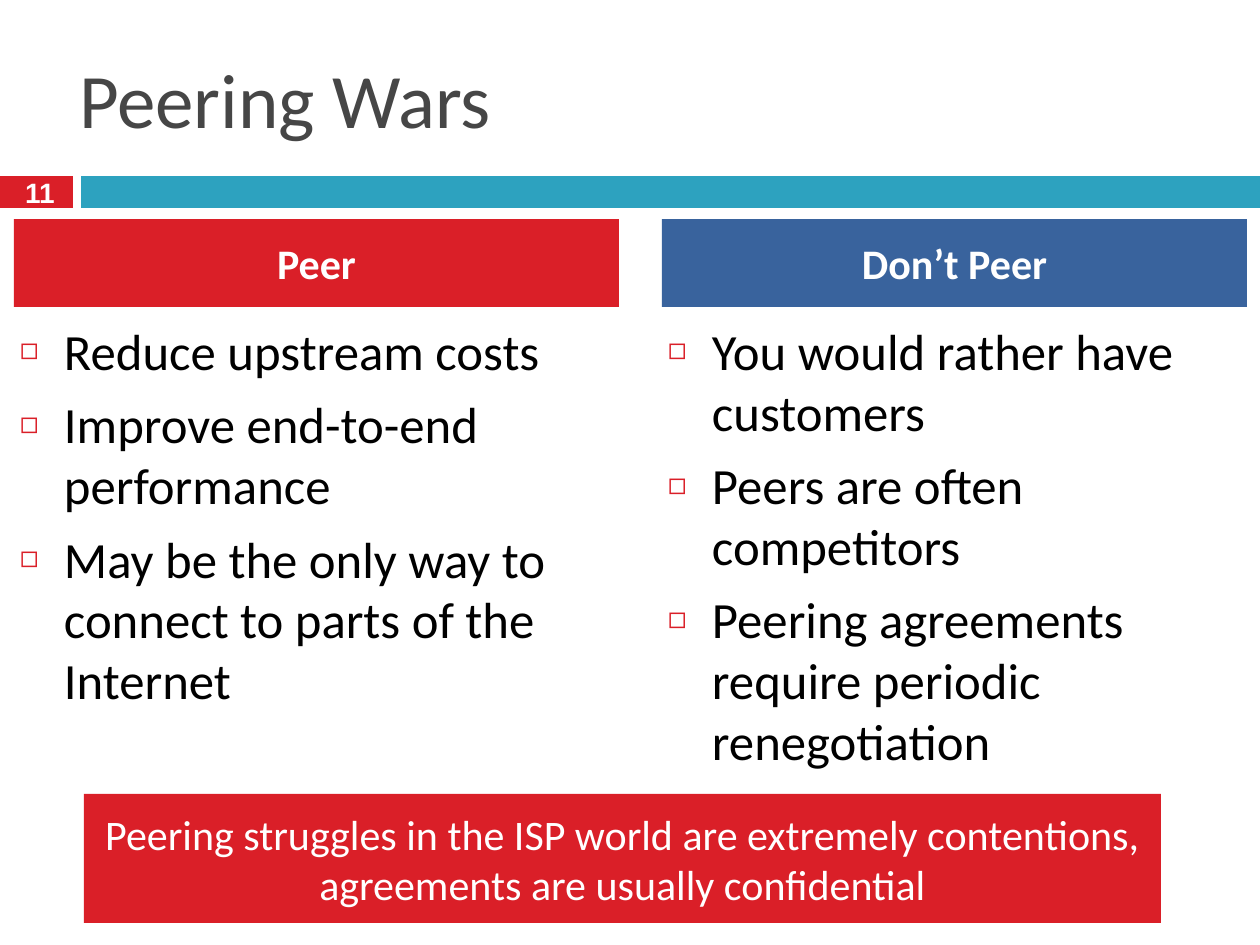
"""Build the Peering Wars slide comparing reasons to peer and not to peer."""
from lxml.etree import SubElement
from pptx import Presentation
from pptx.dml.color import RGBColor
from pptx.enum.shapes import MSO_SHAPE
from pptx.enum.text import MSO_ANCHOR, MSO_AUTO_SIZE, PP_ALIGN
from pptx.oxml.ns import qn
from pptx.util import Pt

SCALE = 914400 / 126
COLORS = {"red": "DA1F28", "teal": "2DA2BF", "blue": "39639D",
          "gray": "464646", "black": "000000", "white": "FFFFFF"}

TITLE = "Peering Wars"
PAGE_NUMBER = "11"
COLUMNS = [
    {"left": 14, "width": 605, "fill": "red", "heading": "Peer", "list_height": 494,
     "points": ["Reduce upstream costs",
                "Improve end-to-end performance",
                "May be the only way to connect to parts of the Internet"]},
    {"left": 662, "width": 585, "fill": "blue", "heading": "Don’t Peer", "list_height": 549,
     "points": ["You would rather have customers",
                "Peers are often competitors",
                "Peering agreements require periodic renegotiation"]},
]
SUMMARY = ("Peering struggles in the ISP world are extremely contentions, "
           "agreements are usually confidential")
BARS = [((0, 176, 73, 32), "red"), ((81, 176, 1179, 32), "teal")]
HEADING_TOP, HEADING_HEIGHT = 219, 88
LIST_TOP = 314
MARGIN, INDENT = 6, 44

TITLE_STYLE = {"size": Pt(44), "name": "Calibri", "bold": False}
LIST_STYLE = {"size": Pt(29), "name": "Calibri", "bold": False}
HEADING_STYLE = {"size": Pt(24), "name": "Calibri", "bold": True}
SUMMARY_STYLE = {"size": Pt(24), "name": "Calibri", "bold": False}
NUMBER_STYLE = {"size": Pt(16), "name": "Arial", "bold": True}


def px(length):
    return round(length * SCALE)


def color(name):
    return RGBColor.from_string(COLORS[name])


def place(shape, area):
    for name, length in zip(("left", "top", "width", "height"), area):
        setattr(shape, name, px(length))


def paint(shape, fill):
    shape.fill.solid()
    shape.fill.fore_color.rgb = color(fill)
    shape.line.fill.background()


def add_bar(page, area, fill):
    bar = page.shapes.add_shape(MSO_SHAPE.RECTANGLE, *map(px, area))
    bar.shadow.inherit = False
    paint(bar, fill)
    return bar


def add_bullet(para):
    properties = para._p.get_or_add_pPr()
    properties.set("marL", str(px(INDENT)))
    properties.set("indent", str(-px(INDENT)))
    tint = SubElement(properties, qn("a:buClr"))
    SubElement(tint, qn("a:srgbClr"), val=COLORS["red"])
    SubElement(properties, qn("a:buSzPct"), val="60000")
    SubElement(properties, qn("a:buChar"), char="◻")


def write(shape, lines, style, ink, align=PP_ALIGN.CENTER,
          anchor=MSO_ANCHOR.MIDDLE, bullets=False, wrap=True):
    frame = shape.text_frame
    layout = {"margin_left": px(MARGIN), "margin_right": px(MARGIN),
              "margin_top": px(MARGIN), "margin_bottom": px(MARGIN),
              "word_wrap": wrap, "auto_size": MSO_AUTO_SIZE.NONE,
              "vertical_anchor": anchor}
    for name, value in layout.items():
        setattr(frame, name, value)
    for index, line in enumerate(lines):
        para = frame.add_paragraph() if index else frame.paragraphs[0]
        if bullets:
            add_bullet(para)
        para.alignment = align
        para.space_before = Pt(7 if index else 0)
        span = para.add_run()
        span.text = line
        for name, value in style.items():
            setattr(span.font, name, value)
        span.font.color.rgb = color(ink)


def main():
    deck = Presentation()
    deck.slide_width, deck.slide_height = px(1260), px(945)
    page = deck.slides.add_slide(deck.slide_layouts.get_by_name("Comparison"))
    title, *bodies = page.placeholders

    for area, fill in BARS:
        add_bar(page, area, fill)

    place(title, (73, 38, 1124, 120))
    write(title, [TITLE], TITLE_STYLE, "gray", PP_ALIGN.LEFT)

    for column, heading, points in zip(COLUMNS, bodies[::2], bodies[1::2]):
        left, width = column["left"], column["width"]
        place(heading, (left, HEADING_TOP, width, HEADING_HEIGHT))
        paint(heading, column["fill"])
        write(heading, [column["heading"]], HEADING_STYLE, "white")
        place(points, (left, LIST_TOP, width, column["list_height"]))
        write(points, column["points"], LIST_STYLE, "black",
              PP_ALIGN.LEFT, MSO_ANCHOR.TOP, bullets=True)

    number = page.shapes.add_textbox(*map(px, (18, 170, 44, 44)))
    write(number, [PAGE_NUMBER], NUMBER_STYLE, "white", wrap=False)

    summary = add_bar(page, (84, 794, 1077, 129), "red")
    write(summary, [SUMMARY], SUMMARY_STYLE, "white")

    deck.save("out.pptx")


if __name__ == "__main__":
    main()
